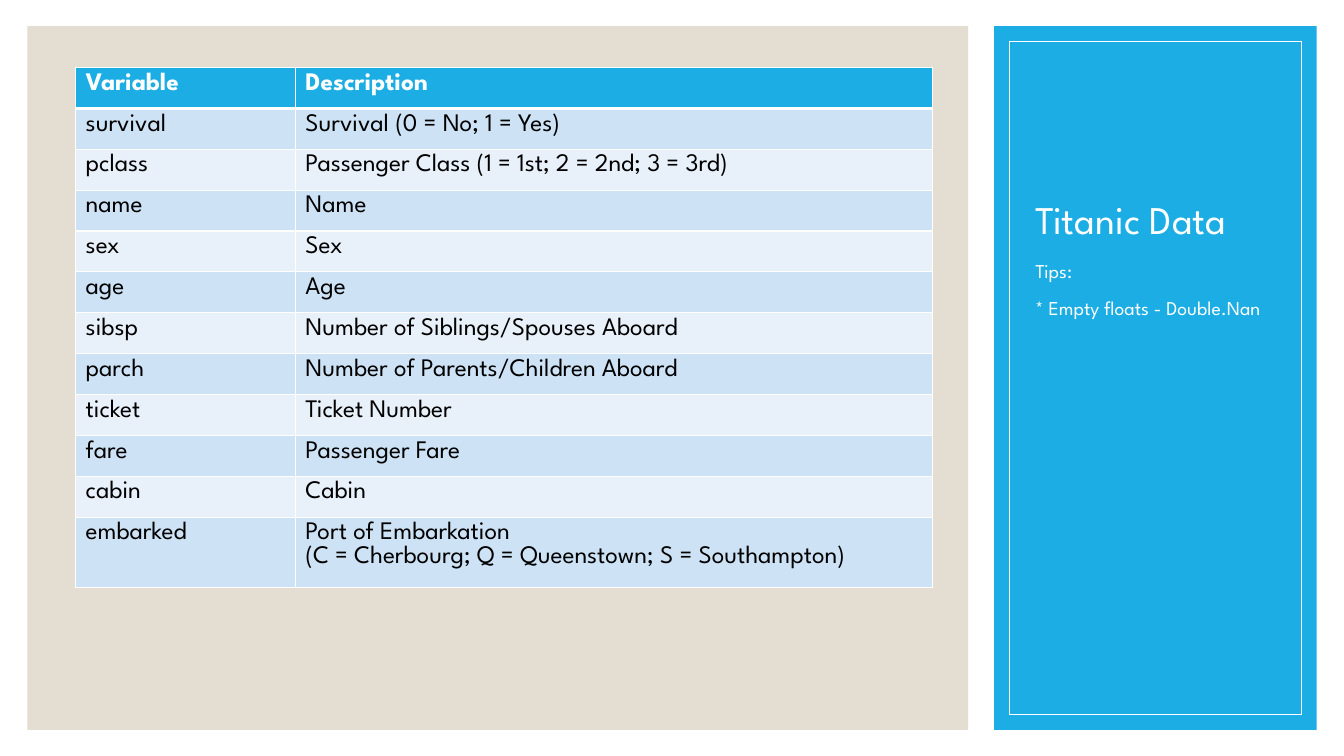
import pptx
import pptx.util
import pptx.dml.color
import pptx.enum.shapes
import pptx.enum.text
import pptx.oxml

WIDTH, HEIGHT = 13.33, 7.5
FONT = "League Spartan"
COLORS = {
    "white": "FFFFFF",
    "black": "000000",
    "sand": "E3DED1",
    "blue": "1CADE4",
    "band_dark": "CDE3F5",
    "band_light": "E8F1FA",
}
VARIABLES = [
    ("Variable", "Description"),
    ("survival", "Survival (0 = No; 1 = Yes)"),
    ("pclass", "Passenger Class (1 = 1st; 2 = 2nd; 3 = 3rd)"),
    ("name", "Name"),
    ("sex", "Sex"),
    ("age", "Age"),
    ("sibsp", "Number of Siblings/Spouses Aboard"),
    ("parch", "Number of Parents/Children Aboard"),
    ("ticket", "Ticket Number"),
    ("fare", "Passenger Fare"),
    ("cabin", "Cabin"),
    ("embarked", "Port of Embarkation\n(C = Cherbourg; Q = Queenstown; S = Southampton)"),
]
COLUMN_SHARES = (16.35, 47.41)
ROW_SHARE, LAST_ROW_SHARE = 5.41, 7.6


def across(percent):
    return pptx.util.Inches(WIDTH * percent / 100)


def down(percent):
    return pptx.util.Inches(HEIGHT * percent / 100)


def box(left, top, width, height):
    return across(left), down(top), across(width), down(height)


def color(name):
    return pptx.dml.color.RGBColor.from_string(COLORS[name])


def add_panel(s, area, fill=None, line=None):
    sp = s.shapes.add_shape(pptx.enum.shapes.MSO_SHAPE.RECTANGLE, *area)
    sp.shadow.inherit = False
    if fill:
        sp.fill.solid()
        sp.fill.fore_color.rgb = color(fill)
    else:
        sp.fill.background()
    if line:
        sp.line.color.rgb = color(line)
        sp.line.width = pptx.util.Pt(0.5)
    else:
        sp.line.fill.background()


def write(tf, text, size, ink, bold=False, spacing=None, before=None):
    tf.text = text
    for p in tf.paragraphs:
        p.font.name = FONT
        p.font.size = pptx.util.Pt(size)
        p.font.bold = bold
        p.font.color.rgb = color(ink)
        if spacing:
            p.line_spacing = spacing
        if before:
            p.space_before = pptx.util.Pt(before)


def add_text(s, area, text, size, spacing, before=None, anchor="TOP"):
    tf = s.shapes.add_textbox(*area).text_frame
    tf.word_wrap = True
    tf.vertical_anchor = pptx.enum.text.MSO_ANCHOR[anchor]
    write(tf, text, size, "white", spacing=spacing, before=before)


def set_borders(cell, bottom):
    props = cell._tc.get_or_add_tcPr()
    for i, (side, points) in enumerate((("L", 1), ("R", 1), ("T", 1), ("B", bottom))):
        props.insert(i, pptx.oxml.parse_xml(
            f'<a:ln{side} xmlns:a="http://schemas.openxmlformats.org/drawingml/2006/main" '
            f'w="{pptx.util.Pt(points)}"><a:solidFill><a:srgbClr val="{COLORS["white"]}"/>'
            f'</a:solidFill></a:ln{side}>'))


def add_variable_table(s, left, top):
    heights = [ROW_SHARE] * (len(VARIABLES) - 1) + [LAST_ROW_SHARE]
    area = box(left, top, sum(COLUMN_SHARES), sum(heights))
    table = s.shapes.add_table(len(VARIABLES), len(COLUMN_SHARES), *area).table
    for column, share in zip(table.columns, COLUMN_SHARES):
        column.width = across(share)
    for i, (row, height, texts) in enumerate(zip(table.rows, heights, VARIABLES)):
        row.height = down(height)
        header = i == 0
        fill = "blue" if header else "band_dark" if i % 2 else "band_light"
        for cell, text in zip(row.cells, texts):
            cell.fill.solid()
            cell.fill.fore_color.rgb = color(fill)
            write(cell.text_frame, text, 18, "white" if header else "black", bold=header)
            set_borders(cell, 3 if header else 1)
    for j in range(len(COLUMN_SHARES)):
        top_border = table.cell(1, j)._tc.tcPr[2]
        top_border.set("w", str(pptx.util.Pt(3)))


def main():
    prs = pptx.Presentation()
    prs.slide_width = pptx.util.Inches(WIDTH)
    prs.slide_height = pptx.util.Inches(HEIGHT)
    s = prs.slides.add_slide(prs.slide_layouts[6])
    add_panel(s, box(2.03, 3.47, 70, 93.07), fill="sand")
    add_panel(s, box(73.97, 3.47, 24, 93.07), fill="blue")
    add_panel(s, box(75.1, 5.47, 21.75, 89.07), line="white")
    add_text(s, box(76.3, 8.8, 19.95, 24), "Titanic Data", 28, 0.9, anchor="BOTTOM")
    add_variable_table(s, 5.63, 8.93)
    add_text(s, box(76.3, 33.33, 19.95, 51.07),
             "Tips:\n* Empty floats - Double.Nan", 14, 1.1, before=8)
    prs.save("out.pptx")


if __name__ == "__main__":
    main()
